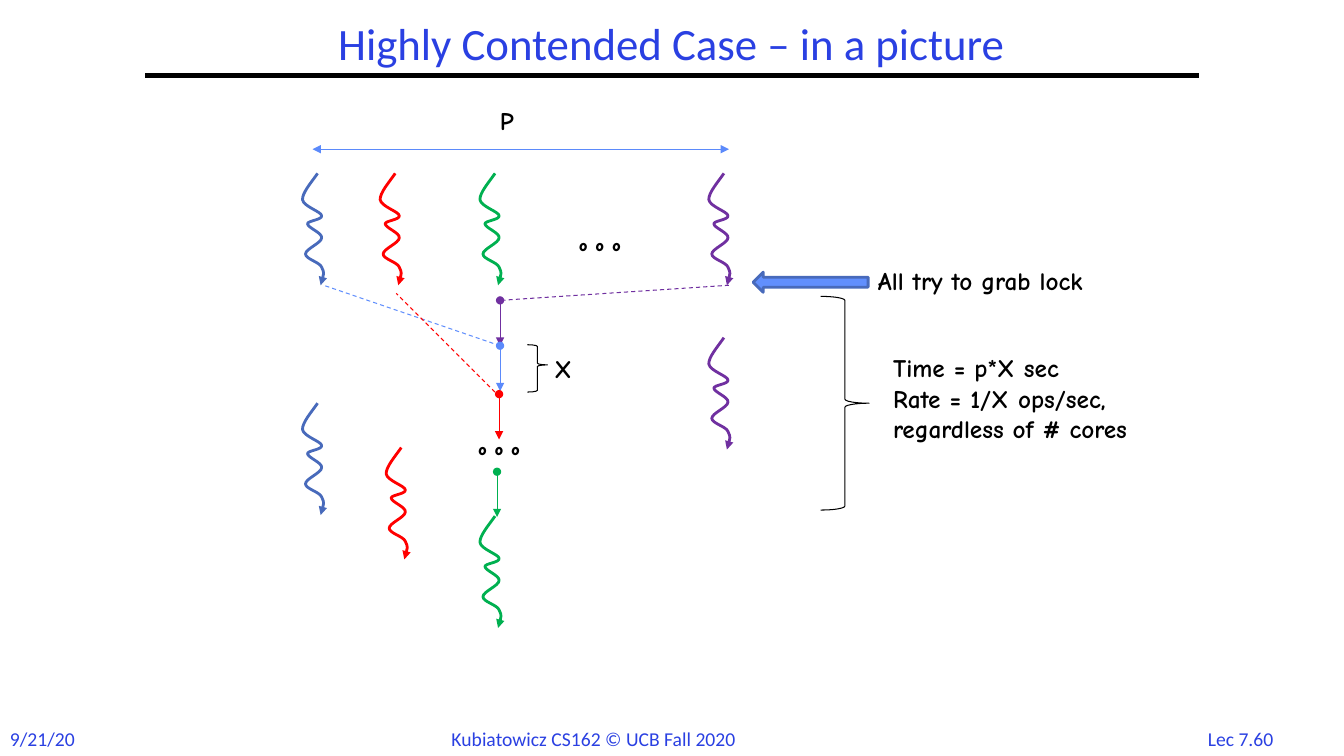
from dataclasses import dataclass

from lxml import etree
from pptx import Presentation
from pptx.dml.color import RGBColor
from pptx.enum.dml import MSO_LINE
from pptx.enum.shapes import MSO_CONNECTOR, MSO_SHAPE
from pptx.enum.text import MSO_ANCHOR, MSO_AUTO_SIZE, PP_ALIGN
from pptx.oxml.ns import qn
from pptx.util import Inches, Pt

STRAIGHT = MSO_CONNECTOR.STRAIGHT
DASH = MSO_LINE.DASH
BRACE, LEFT_ARROW, RECTANGLE = MSO_SHAPE.RIGHT_BRACE, MSO_SHAPE.LEFT_ARROW, MSO_SHAPE.RECTANGLE
TOP, MIDDLE = MSO_ANCHOR.TOP, MSO_ANCHOR.MIDDLE
LEFT, CENTER = PP_ALIGN.LEFT, PP_ALIGN.CENTER
GROW = MSO_AUTO_SIZE.SHAPE_TO_FIT_TEXT

COLORS = {
    "black": "000000", "white": "FFFFFF", "heading": "2A40E2", "navy": "486ABB",
    "blue": "5B8AFB", "sky": "618FFD", "red": "FF0000", "green": "00B050", "purple": "7030A0",
}
# Start point of a thread, then three points for each curve
SQUIGGLE = [
    (0.15, 0),
    (0.08, 0.10), (0, 0.19), (0, 0.26), (0.01, 0.33), (0.19, 0.38), (0.19, 0.42),
    (0.20, 0.46), (0.05, 0.47), (0.05, 0.50), (0.05, 0.54), (0.20, 0.59), (0.19, 0.64),
    (0.19, 0.69), (0.03, 0.75), (0.03, 0.80), (0.03, 0.85), (0.17, 0.88), (0.19, 0.93),
    (0.22, 0.99), (0.20, 1.05), (0.18, 1.11),
]


@dataclass
class Thread:
    left: float
    top: float
    color: str


@dataclass
class Link:
    start: tuple[float, float]
    end: tuple[float, float]
    color: str
    width: float = 0.75
    head: str = ""
    tail: str = ""
    dashed: bool = False


@dataclass
class Label:
    lines: list[str]
    box: tuple[float, float, float, float]
    wrap: bool = False
    font: str = "Comic Neue"
    size: int = 18
    color: str = "black"
    bold: bool = True
    align: PP_ALIGN = LEFT


def rgb(name: str) -> RGBColor:
    return RGBColor.from_string(COLORS[name])


def style_line(line, color: str, width: float, head: str = "", tail: str = "") -> None:
    line.color.rgb = rgb(color)
    line.width = Pt(width)
    properties = line._get_or_add_ln()
    for tag, kind in (("a:headEnd", head), ("a:tailEnd", tail)):
        if kind:
            etree.SubElement(properties, qn(tag), type=kind)


def draw_thread(page, thread: Thread) -> None:
    points = [(Inches(thread.left + x), Inches(thread.top + y)) for x, y in SQUIGGLE]
    builder = page.shapes.build_freeform(*points[0])
    builder.add_line_segments(points[1:], close=False)
    shape = builder.convert_to_shape()
    # Turn every three straight segments into one Bezier curve
    outline = next(shape._element.iter(qn("a:path")))
    segments = outline.findall(qn("a:lnTo"))
    for index in range(0, len(segments), 3):
        curve = etree.SubElement(outline, qn("a:cubicBezTo"))
        for segment in segments[index:index + 3]:
            curve.append(segment[0])
            outline.remove(segment)
    shape.shadow.inherit = False
    shape.fill.background()
    style_line(shape.line, thread.color, 2, tail="triangle")


def draw_link(page, link: Link) -> None:
    ends = [Inches(value) for value in (*link.start, *link.end)]
    connector = page.shapes.add_connector(STRAIGHT, *ends)
    if link.dashed:
        connector.line.dash_style = DASH
    style_line(connector.line, link.color, link.width, link.head, link.tail)
    etree.SubElement(connector._element.spPr, qn("a:effectLst"))


def add_preset(page, kind: MSO_SHAPE, box: tuple[float, float, float, float]):
    shape = page.shapes.add_shape(kind, *[Inches(value) for value in box])
    shape.shadow.inherit = False
    shape.fill.background()
    return shape


def draw_brace(page, box: tuple[float, float, float, float], point: float) -> None:
    brace = add_preset(page, BRACE, box)
    brace.adjustments[0] = 0.083
    brace.adjustments[1] = point
    style_line(brace.line, "black", 0.75)


def write_label(shape, label: Label) -> None:
    frame = shape.text_frame
    frame.word_wrap = label.wrap
    frame.auto_size = GROW
    frame.vertical_anchor = TOP
    for index, line in enumerate(label.lines):
        para = frame.add_paragraph() if index else frame.paragraphs[0]
        para.alignment = label.align
        add_span(para, line, label.font, label.size, label.color, label.bold)


def add_span(para, text: str, font: str, size: int, color: str, bold: bool) -> None:
    span = para.add_run()
    span.text = text
    span.font.name = font
    span.font.size = Pt(size)
    span.font.bold = bold
    span.font.color.rgb = rgb(color)


def draw_label(page, label: Label) -> None:
    write_label(page.shapes.add_textbox(*[Inches(value) for value in label.box]), label)


def footer(text: str, left: float, width: float, align: PP_ALIGN = LEFT) -> Label:
    return Label([text], (left, 7.16, width, 0.34), False, "Calibri", 14, "heading", False, align)


def draw_title(page, text: str) -> None:
    title = page.shapes.title
    title.left, title.top, title.width, title.height = map(Inches, (1.44, 0.17, 10.44, 0.58))
    title.text_frame.vertical_anchor = MIDDLE
    para = title.text_frame.paragraphs[0]
    para.alignment = CENTER
    para.line_spacing = 0.9
    add_span(para, text, "Calibri", 32, "heading", False)


THREADS = [
    # Before the lock
    Thread(3, 1.72, "navy"), Thread(3.77, 1.72, "red"),
    Thread(4.76, 1.72, "green"), Thread(7.03, 1.72, "purple"),
    # After the lock
    Thread(7.03, 3.35, "purple"), Thread(3, 4, "navy"),
    Thread(3.83, 4.44, "red"), Thread(4.76, 5.12, "green"),
]
LINKS = [
    Link((1.44, 0.75), (11.89, 0.75), "black", 3),
    Link((3.1, 1.48), (7.23, 1.48), "blue", head="triangle", tail="triangle"),
    # Waiting for the lock
    Link((7.23, 2.83), (4.96, 2.98), "purple", dashed=True),
    Link((4.96, 3.43), (3.21, 2.83), "sky", dashed=True),
    Link((4.91, 3.89), (3.93, 2.91), "red", dashed=True),
]
# Turns holding the lock: x, top, colour
TURNS = [(4.96, 2.98, "purple"), (4.96, 3.43, "blue"), (4.95, 3.91, "red"), (4.93, 4.68, "green")]
LINKS += [Link((x, y), (x, y + 0.45), color, head="oval", tail="triangle") for x, y, color in TURNS]
LABELS = [
    footer("9/21/20", 0, 0.85),
    footer("Kubiatowicz CS162 © UCB Fall 2020", 4.38, 3.43),
    footer("Lec 7.60", 11.82, 0.97, CENTER),
    Label(["º º º"], (5.65, 2.28, 0.62, 0.4)),
    Label(["º º º"], (4.65, 4.3, 0.62, 0.4)),
    Label(["Time = p*X sec", "Rate = 1/X ops/sec, regardless of # cores"],
          (8.76, 3.45, 2.67, 1.31), wrap=True),
    Label(["X"], (5.4, 3.46, 0.38, 0.4)),
    Label(["All try to grab lock"], (8.61, 2.58, 2.6, 0.4)),
]


def main() -> None:
    deck = Presentation()
    deck.slide_width, deck.slide_height = Inches(13.33), Inches(7.5)
    page = deck.slides.add_slide(deck.slide_layouts[5])
    draw_title(page, "Highly Contended Case – in a picture")
    for thread in THREADS:
        draw_thread(page, thread)
    for link in LINKS:
        draw_link(page, link)

    # Braces for one turn and for the whole run
    draw_brace(page, (5.23, 3.42, 0.2, 0.47), 0.426)
    draw_brace(page, (8.14, 2.94, 0.48, 2.12), 0.5)

    # Thread count and lock arrow
    count = Label(["P"], (4.86, 1, 0.34, 0.4))
    count_box = add_preset(page, RECTANGLE, count.box)
    count_box.fill.solid()
    count_box.fill.fore_color.rgb = rgb("white")
    count_box.line.fill.background()
    write_label(count_box, count)
    arrow = add_preset(page, LEFT_ARROW, (7.47, 2.7, 1.14, 0.2))
    arrow.fill.solid()
    arrow.fill.fore_color.rgb = rgb("sky")
    style_line(arrow.line, "navy", 2)

    for label in LABELS:
        draw_label(page, label)
    deck.save("out.pptx")


if __name__ == "__main__":
    main()
